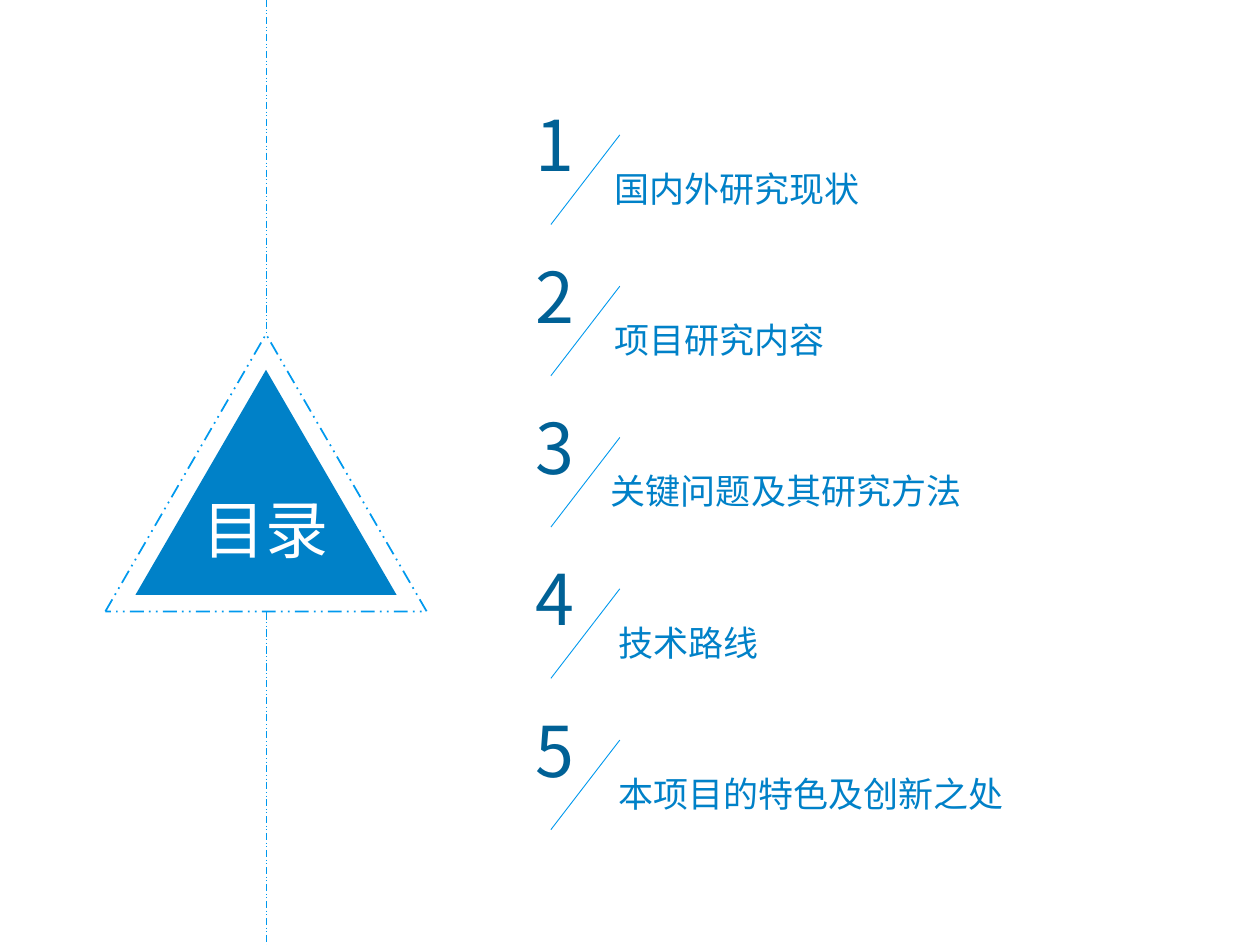
from dataclasses import dataclass

from lxml.etree import SubElement
from pptx import Presentation
from pptx.dml.color import RGBColor as RGB
from pptx.enum.dml import MSO_LINE as Dash
from pptx.enum.shapes import MSO_CONNECTOR as Connector, MSO_SHAPE as Shape
from pptx.enum.text import MSO_ANCHOR as Anchor, MSO_AUTO_SIZE as AutoSize, PP_ALIGN as Align
from pptx.oxml.ns import qn
from pptx.util import Pt


@dataclass(frozen=True)
class Theme:
    font: str = "Noto Sans CJK SC"
    blue: RGB = RGB(0x00, 0x81, 0xC8)
    dark: RGB = RGB(0x00, 0x61, 0x96)
    bright: RGB = RGB(0x00, 0x99, 0xEE)
    white: RGB = RGB(0xFF, 0xFF, 0xFF)
    title_size: int = 36
    number_size: int = 40
    item_size: int = 20
    thin: float = 0.5
    outline: float = 1


THEME = Theme()
WIDTH, HEIGHT = 720, 540
AXIS_X = 152.1
ITEM_PITCH = 86.45
# Heading, left edge and width of each entry
ITEMS = [
    ("国内外研究现状", 344, 158),
    ("项目研究内容", 344, 158),
    ("关键问题及其研究方法", 342, 227.5),
    ("技术路线", 346.3, 150),
    ("本项目的特色及创新之处", 346.3, 240.5),
]


def write(shape, text, size, color):
    """Put one styled paragraph into a shape and return it."""
    paragraph = shape.text_frame.paragraphs[0]
    paragraph.text = text
    font = paragraph.font
    font.size, font.name = Pt(size), THEME.font
    font.color.rgb = color
    # East Asian glyphs need their own typeface entry
    properties = paragraph._p.get_or_add_pPr().get_or_add_defRPr()
    SubElement(properties, qn("a:ea"), typeface=THEME.font)
    return paragraph


def add_text(slide, text, left, top, width, height, size, color):
    box = slide.shapes.add_textbox(Pt(left), Pt(top), Pt(width), Pt(height))
    box.text_frame.word_wrap = True
    box.text_frame.auto_size = AutoSize.SHAPE_TO_FIT_TEXT
    write(box, text, size, color)


def add_line(slide, x1, y1, x2, y2, dash=None):
    line = slide.shapes.add_connector(Connector.STRAIGHT, Pt(x1), Pt(y1), Pt(x2), Pt(y2))
    line.line.color.rgb = THEME.bright
    line.line.width = Pt(THEME.thin)
    if dash:
        line.line.dash_style = dash
    SubElement(line._element.spPr, qn("a:effectLst"))


def add_triangle(slide, left, top, width, height):
    triangle = slide.shapes.add_shape(
        Shape.ISOSCELES_TRIANGLE, Pt(left), Pt(top), Pt(width), Pt(height))
    triangle.shadow.inherit = False
    return triangle


def add_title(slide):
    # Filled triangle with the title
    inner = add_triangle(slide, 77.4, 211.3, 149.2, 128.6)
    inner.fill.solid()
    inner.fill.fore_color.rgb = THEME.blue
    inner.line.fill.background()
    frame = inner.text_frame
    frame.margin_left = frame.margin_top = frame.margin_right = 0
    frame.margin_bottom = Pt(11.5)
    frame.vertical_anchor = Anchor.MIDDLE
    write(inner, "目录", THEME.title_size, THEME.white).alignment = Align.CENTER

    # Dashed outer triangle
    outer = add_triangle(slide, 60.2, 191, 183.6, 158.4)
    outer.fill.background()
    outer.line.color.rgb = THEME.bright
    outer.line.width = Pt(THEME.outline)
    outer.line.dash_style = Dash.DASH_DOT_DOT

    # Vertical axis above and below
    for start, end in ((0, 191), (350, HEIGHT)):
        add_line(slide, AXIS_X, start, AXIS_X, end, Dash.DASH_DOT_DOT)


def add_item(slide, number, heading, left, width):
    top = 54.7 + (number - 1) * ITEM_PITCH
    add_text(slide, heading, left, top + 37.4, width, 31.5, THEME.item_size, THEME.blue)
    add_line(slide, 354.2, top + 22.4, 314.8, top + 73.6)
    add_text(slide, str(number), 298.8, top, 30.2, 55.7, THEME.number_size, THEME.dark)


def main():
    presentation = Presentation()
    presentation.slide_width, presentation.slide_height = Pt(WIDTH), Pt(HEIGHT)
    slide = presentation.slides.add_slide(presentation.slide_layouts[6])
    add_title(slide)
    for number, item in enumerate(ITEMS, start=1):
        add_item(slide, number, *item)
    presentation.save("out.pptx")


if __name__ == "__main__":
    main()
